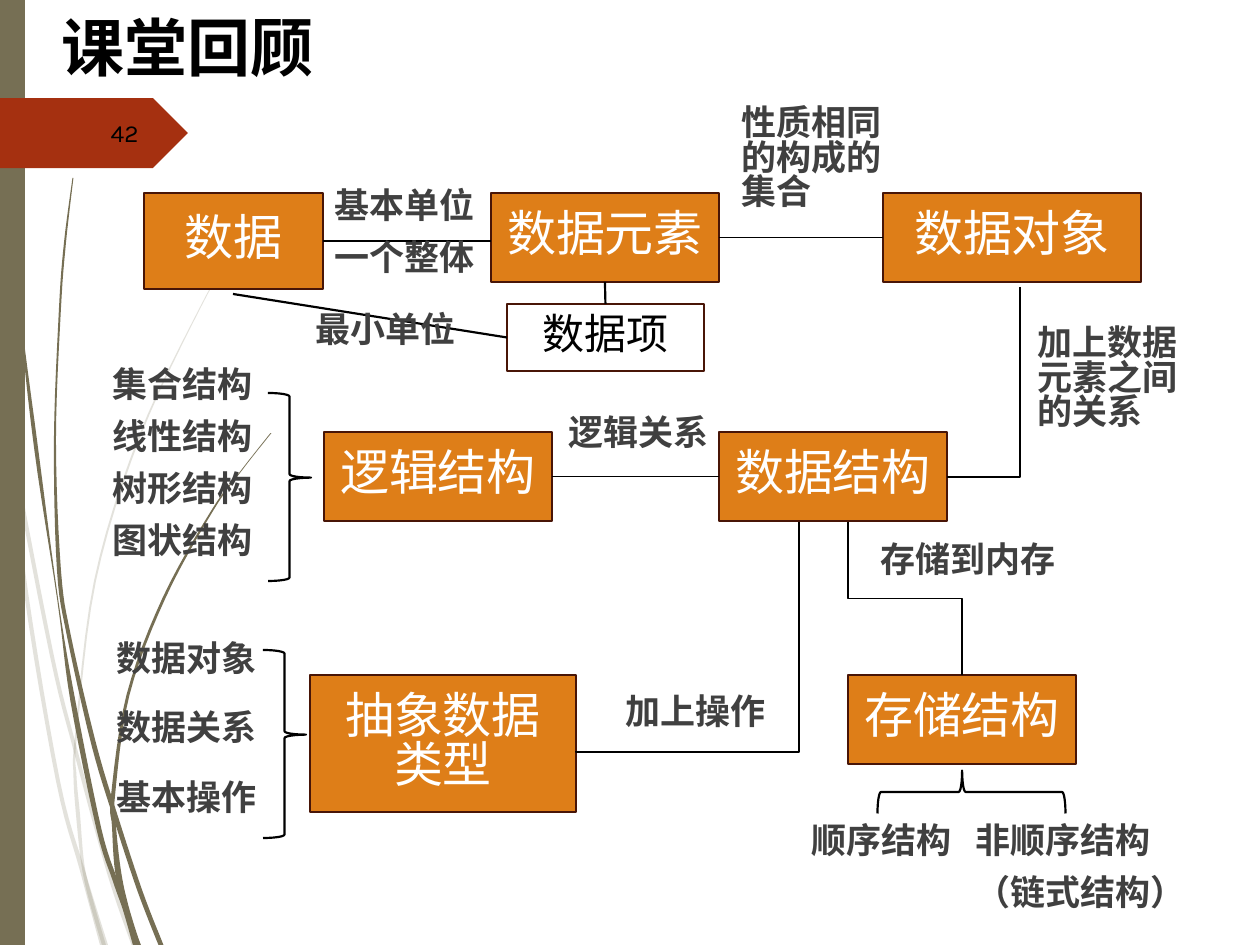
from pptx import Presentation
from pptx import util as u
from pptx.dml.color import RGBColor
from pptx.enum import shapes, text
from pptx.oxml.ns import qn
from lxml import etree

PX = 914400 // 126
CJK = "Noto Sans CJK SC"
OLIVE, RED, ORANGE, BROWN = "766F54", "A53010", "DE7E18", "481507"
BLACK, WHITE, GREY = "000000", "FFFFFF", "404040"
TIGHT, LOOSE = 0.82, 1.23
SHAPE, ALIGN, ANCHOR = shapes.MSO_SHAPE, text.PP_ALIGN, text.MSO_ANCHOR

TITLE = ("课堂回顾", (49, 16, 1139, 90))
NUMBER = ("42", (71, 108, 80, 50))

# x, y, width along each stalk
PALE_STALKS = [
    [(1, 372, 3), (13, 454, 4), (52, 656, 4), (76, 752, 4), (109, 873, 4), (134, 945, 5)],
    [(10, 441, 1), (26, 592, 4), (58, 781, 4), (82, 869, 5), (104, 945, 8)],
    [(273, 193, 1), (235, 249, 1), (200, 308, 1), (139, 438, 2), (95, 581, 2),
     (76, 736, 2), (75, 775, 3), (78, 814, 4), (83, 865, 3), (91, 900, 4), (104, 945, 4)],
]
DARK_STALKS = [
    [(3, 0, 1), (6, 138, 1), (18, 293, 1), (36, 447, 4), (58, 601, 1), (73, 701, 5),
     (99, 829, 5), (115, 880, 5), (125, 910, 4), (137, 945, 8)],
    [(73, 178, 1), (65, 243, 2), (60, 309, 2), (55, 440, 2), (59, 570, 4),
     (69, 636, 4), (94, 745, 5), (116, 818, 5), (140, 891, 5), (161, 945, 5)],
    [(271, 433, 1), (241, 471, 1), (212, 511, 2), (164, 598, 3), (128, 695, 3),
     (113, 796, 4), (114, 826, 4), (118, 871, 6), (126, 906, 5), (138, 945, 5)],
]

NODES = {
    "数据": (144, 193, 179, 96),
    "数据元素": (491, 193, 228, 89),
    "数据对象": (883, 193, 258, 89),
    "数据结构": (719, 432, 228, 89),
    "逻辑结构": (324, 432, 228, 89),
    "存储结构": (848, 675, 228, 89),
    "抽象数据类型": (310, 675, 266, 137),
    "数据项": (507, 304, 197, 67),
}
PLAIN_NODE = "数据项"

LINKS = [
    ((323, 241), (491, 241), ("数据", 3), None, 1),
    ((719, 237), (883, 237), ("数据元素", 3), ("数据对象", 1), 1),
    ((552, 477), (719, 477), ("逻辑结构", 3), ("数据结构", 1), 1),
    ((605, 282), (605, 304), ("数据元素", 2), ("数据项", 0), 1.25),
    ((233, 294), (507, 338), None, ("数据项", 1), 1.25),
]

ELBOWS = [
    ((1020, 287), (947, 477), "bentConnector2", None),
    ((799, 522), (576, 751), "bentConnector3", 100400),
    ((848, 522), (962, 675), "bentConnector3", 50100),
]

BRACES = [((268, 393, 43, 188), 180), ((950, 698, 43, 188), 90), ((263, 650, 43, 188), 180)]

LABELS = [
    (["基本单位", "一个整体"], (322, 185, 168, 105), TIGHT),
    (["性质相同的构成的集合"], (729, 102, 167, 135), TIGHT),
    (["加上数据元素之间的关系"], (1025, 322, 167, 135), TIGHT),
    (["逻辑关系"], (556, 412, 169, 53), TIGHT),
    (["存储到内存"], (868, 539, 238, 67), TIGHT),
    (["加上操作"], (613, 691, 169, 53), TIGHT),
    (["集合结构", "线性结构", "树形结构", "图状结构"], (100, 364, 169, 246), TIGHT),
    (["顺序结构"], (799, 820, 169, 53), TIGHT),
    (["非顺序结构", "（链式结构）"], (963, 820, 242, 117), TIGHT),
    (["数据对象", "数据关系", "基本操作"], (104, 621, 169, 246), LOOSE),
    (["最小单位"], (303, 309, 179, 63), TIGHT),
]


def px(*values):
    return [round(v * PX) for v in values]


def rgb(value):
    return RGBColor.from_string(value)


def paint(sp, fill=None, line=None, width=1.25):
    sp.shadow.inherit = False
    if fill:
        sp.fill.solid()
        sp.fill.fore_color.rgb = rgb(fill)
    else:
        sp.fill.background()
    if line:
        sp.line.color.rgb = rgb(line)
        sp.line.width = u.Pt(width)
    else:
        sp.line.fill.background()


def write(tf, lines, size, color, bold=False, font=CJK, align=ALIGN.LEFT,
          anchor=ANCHOR.TOP, spacing=TIGHT):
    frame = dict(word_wrap=True, auto_size=text.MSO_AUTO_SIZE.NONE, vertical_anchor=anchor)
    for name, value in frame.items():
        setattr(tf, name, value)
    for i, line in enumerate(lines):
        p = tf.paragraphs[0] if i == 0 else tf.add_paragraph()
        p.alignment, p.line_spacing = align, spacing
        if i:
            p.space_before = u.Pt(10)
        r = p.add_run()
        r.text = line
        for name, value in dict(name=font, size=u.Pt(size), bold=bold).items():
            setattr(r.font, name, value)
        r.font.color.rgb = rgb(color)
        etree.SubElement(r.font._element, qn("a:ea"), typeface=font)


def smooth(points, steps=6):
    padded = [points[0], *points, points[-1]]
    for a, b, c, d in zip(padded, padded[1:], padded[2:], padded[3:]):
        for t in (k / steps for k in range(steps)):
            yield [(2 * q + (n - m) * t + (2 * m - 5 * q + 4 * n - o) * t ** 2
                    + (3 * q - m - 3 * n + o) * t ** 3) / 2 for m, q, n, o in zip(a, b, c, d)]
    yield points[-1]


def add_stalk(s, points, alpha=None):
    curve = list(smooth(points))
    outline = [px(x - w / 2, y) for x, y, w in curve]
    outline += [px(x + w / 2, y) for x, y, w in reversed(curve)]
    builder = s.shapes.build_freeform(*outline[0], scale=1.0)
    builder.add_line_segments(outline[1:], close=True)
    sp = builder.convert_to_shape()
    paint(sp, OLIVE)
    if alpha:
        color = sp._element.spPr.find(qn("a:solidFill"))[0]
        etree.SubElement(color, qn("a:alpha"), val=str(alpha * 1000))


def add_line(s, kind, start, end, width=1):
    cx = s.shapes.add_connector(kind, *px(*start, *end))
    cx.line.color.rgb = rgb(BLACK)
    cx.line.width = u.Pt(width)
    etree.SubElement(cx._element.spPr, qn("a:effectLst"))
    return cx


def add_elbow(s, start, end, preset, adj):
    (x1, y1), (x2, y2) = start, end
    mx, my, half_w, half_h = (x1 + x2) / 2, (y1 + y2) / 2, (y2 - y1) / 2, (x1 - x2) / 2
    cx = add_line(s, shapes.MSO_CONNECTOR.ELBOW,
                  (mx - half_w, my - half_h), (mx + half_w, my + half_h))
    cx._element.spPr.find(qn("a:xfrm")).set("rot", "5400000")
    geom = cx._element.spPr.find(qn("a:prstGeom"))
    geom.set("prst", preset)
    if adj:
        guides = geom.find(qn("a:avLst"))
        if guides is None:
            guides = etree.SubElement(geom, qn("a:avLst"))
        etree.SubElement(guides, qn("a:gd"), name="adj1", fmla=f"val {adj}")


def main():
    prs = Presentation()
    prs.slide_width, prs.slide_height = px(1260, 945)
    s = prs.slides.add_slide(prs.slide_layouts[5])

    for points in PALE_STALKS:
        add_stalk(s, points, 20)
    for points in DARK_STALKS:
        add_stalk(s, points)
    paint(s.shapes.add_shape(SHAPE.RECTANGLE, *px(0, 0, 25, 945)), OLIVE)
    paint(s.shapes.add_shape(SHAPE.PENTAGON, *px(0, 98, 188, 70)), RED)

    title, (label, box) = s.shapes.title, NUMBER
    title.left, title.top, title.width, title.height = px(*TITLE[1])
    write(title.text_frame, [TITLE[0]], 36, BLACK, True)
    write(s.shapes.add_textbox(*px(*box)).text_frame, [label], 14, BLACK, font="Karla",
          align=ALIGN.RIGHT, anchor=ANCHOR.MIDDLE, spacing=1)

    nodes = {}
    for name, box in NODES.items():
        plain = name == PLAIN_NODE
        sp = nodes[name] = s.shapes.add_shape(SHAPE.RECTANGLE, *px(*box))
        paint(sp, None if plain else ORANGE, BROWN)
        write(sp.text_frame, [name], 24 if plain else 28, BLACK if plain else WHITE,
              align=ALIGN.CENTER, anchor=ANCHOR.MIDDLE)

    for start, end, source, target, width in LINKS:
        cx = add_line(s, shapes.MSO_CONNECTOR.STRAIGHT, start, end, width)
        if source:
            cx.begin_connect(nodes[source[0]], source[1])
        if target:
            cx.end_connect(nodes[target[0]], target[1])
    for elbow in ELBOWS:
        add_elbow(s, *elbow)

    for box, angle in BRACES:
        sp = s.shapes.add_shape(SHAPE.LEFT_BRACE, *px(*box))
        sp.rotation = angle
        sp.adjustments[0], sp.adjustments[1] = 0.08, 0.55
        paint(sp, None, BLACK)

    for lines, box, spacing in LABELS:
        write(s.shapes.add_textbox(*px(*box)).text_frame, lines, 20, GREY, True, spacing=spacing)

    prs.save("out.pptx")


if __name__ == "__main__":
    main()
